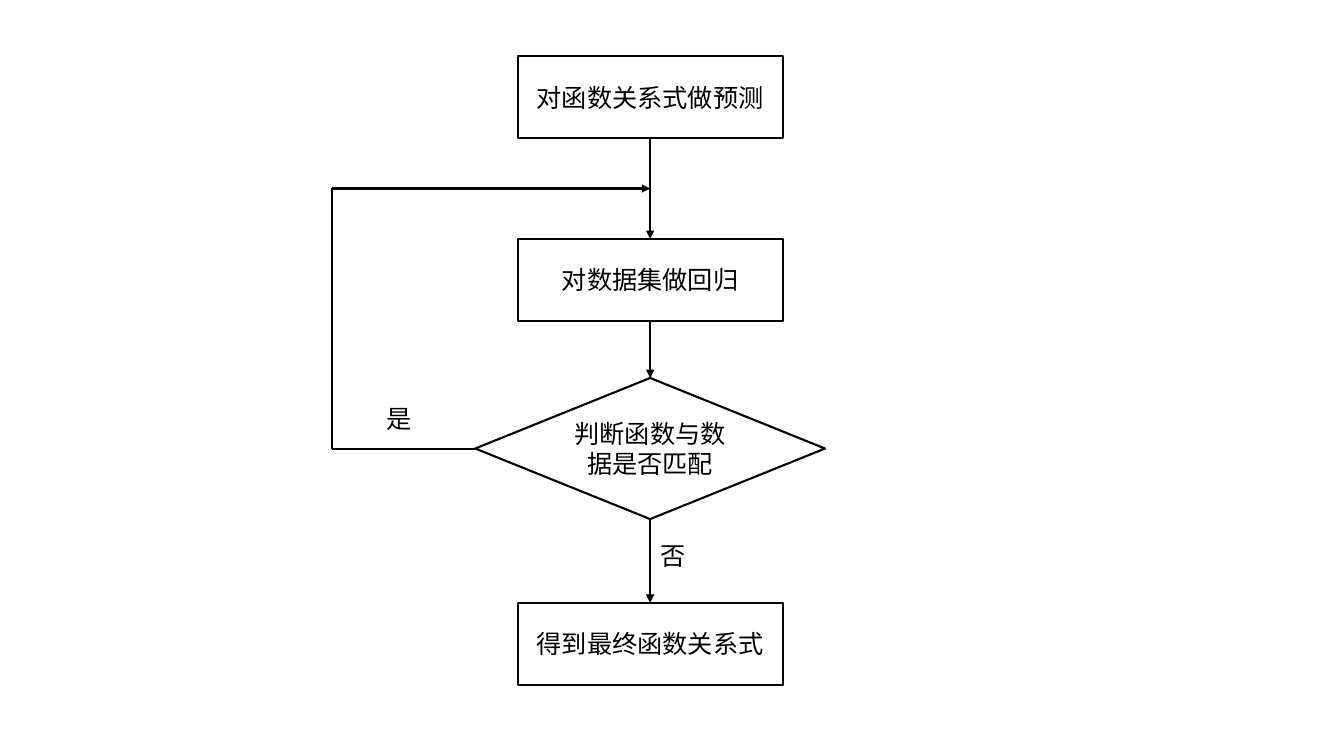
from dataclasses import dataclass
from itertools import pairwise

from lxml.etree import SubElement
from pptx import Presentation
from pptx.dml.color import RGBColor
from pptx.enum.shapes import MSO_CONNECTOR as Connector, MSO_SHAPE as Shape
from pptx.enum.text import MSO_ANCHOR as Anchor, MSO_AUTO_SIZE as AutoSize, PP_ALIGN as Align
from pptx.oxml.ns import qn
from pptx.util import Inches, Pt


@dataclass(frozen=True)
class Theme:
    """Colours, type and line sizes of the flowchart."""
    ink: RGBColor = RGBColor(0, 0, 0)
    font: str = "Noto Sans CJK SC"
    text_size: int = 18
    line_width: float = 1.5


def write_text(frame, text, *, theme, align=Align.LEFT, anchor=Anchor.TOP, fit=AutoSize.NONE):
    """Write one formatted paragraph into a text frame."""
    frame.word_wrap = True
    frame.auto_size = fit
    frame.vertical_anchor = anchor
    para = frame.paragraphs[0]
    para.alignment = align
    span = para.add_run()
    span.text = text
    span.font.size = Pt(theme.text_size)
    span.font.color.rgb = theme.ink
    span.font.name = theme.font
    SubElement(span.font._element, qn("a:ea"), typeface=theme.font)


class Flowchart:
    """Draw flowchart elements on a page divided into columns and rows."""

    def __init__(self, deck, theme, columns=40, rows=30):
        """Add a blank page and measure its grid."""
        self.theme = theme
        self.page = deck.slides.add_slide(deck.slide_layouts[6])
        self.column = deck.slide_width / columns
        self.row = deck.slide_height / rows

    def place(self, *lengths):
        """Turn alternating columns and rows into slide lengths."""
        units = (self.column, self.row) * (len(lengths) // 2)
        return [round(length * unit) for length, unit in zip(lengths, units)]

    def outline(self, line):
        """Apply the common line style."""
        line.color.rgb = self.theme.ink
        line.width = Pt(self.theme.line_width)

    def step(self, text, center, top, width, height, kind=Shape.RECTANGLE):
        """Draw an outlined step centred on a column."""
        box = self.page.shapes.add_shape(kind, *self.place(center - width / 2, top, width, height))
        box.shadow.inherit = False
        box.fill.background()
        self.outline(box.line)
        write_text(box.text_frame, text, theme=self.theme, align=Align.CENTER, anchor=Anchor.MIDDLE)

    def link(self, start, end, arrow=True):
        """Draw a straight link, with an optional arrowhead."""
        link = self.page.shapes.add_connector(Connector.STRAIGHT, *self.place(*start, *end))
        self.outline(link.line)
        if arrow:
            SubElement(link.line._get_or_add_ln(), qn("a:tailEnd"), type="triangle")
        SubElement(link._element.spPr, qn("a:effectLst"))

    def label(self, text, left, top, width=1.32, height=1.62):
        """Write a branch label."""
        box = self.page.shapes.add_textbox(*self.place(left, top, width, height))
        write_text(box.text_frame, text, theme=self.theme, fit=AutoSize.SHAPE_TO_FIT_TEXT)


deck = Presentation()
deck.slide_width, deck.slide_height = Inches(13.33), Inches(7.5)
chart = Flowchart(deck, Theme())

axis, loop_left = 19.35, 9.87
process = (7.89, 3.25, Shape.RECTANGLE)
decision = (10.41, 5.6, Shape.DIAMOND)
steps = [
    ("对函数关系式做预测", 2.23, process),
    ("对数据集做回归", 9.48, process),
    ("判断函数与数据是否匹配", 15, decision),
    ("得到最终函数关系式", 23.92, process),
]
for text, top, (width, height, kind) in steps:
    chart.step(text, axis, top, width, height, kind)

for (_, top, (_, height, _)), (_, next_top, _) in pairwise(steps):
    chart.link((axis, top + height), (axis, next_top))

predict_bottom = steps[0][1] + process[1]
loop_top = (predict_bottom + steps[1][1]) / 2
loop_bottom = steps[2][1] + decision[1] / 2
loop = [
    (axis - decision[0] / 2, loop_bottom),
    (loop_left, loop_bottom),
    (loop_left, loop_top),
    (axis, loop_top),
]
for start, end in pairwise(loop):
    chart.link(start, end, arrow=end == loop[-1])

chart.label("是", 11.2, 15.8)
chart.label("否", axis, 21.24)

deck.save("out.pptx")
